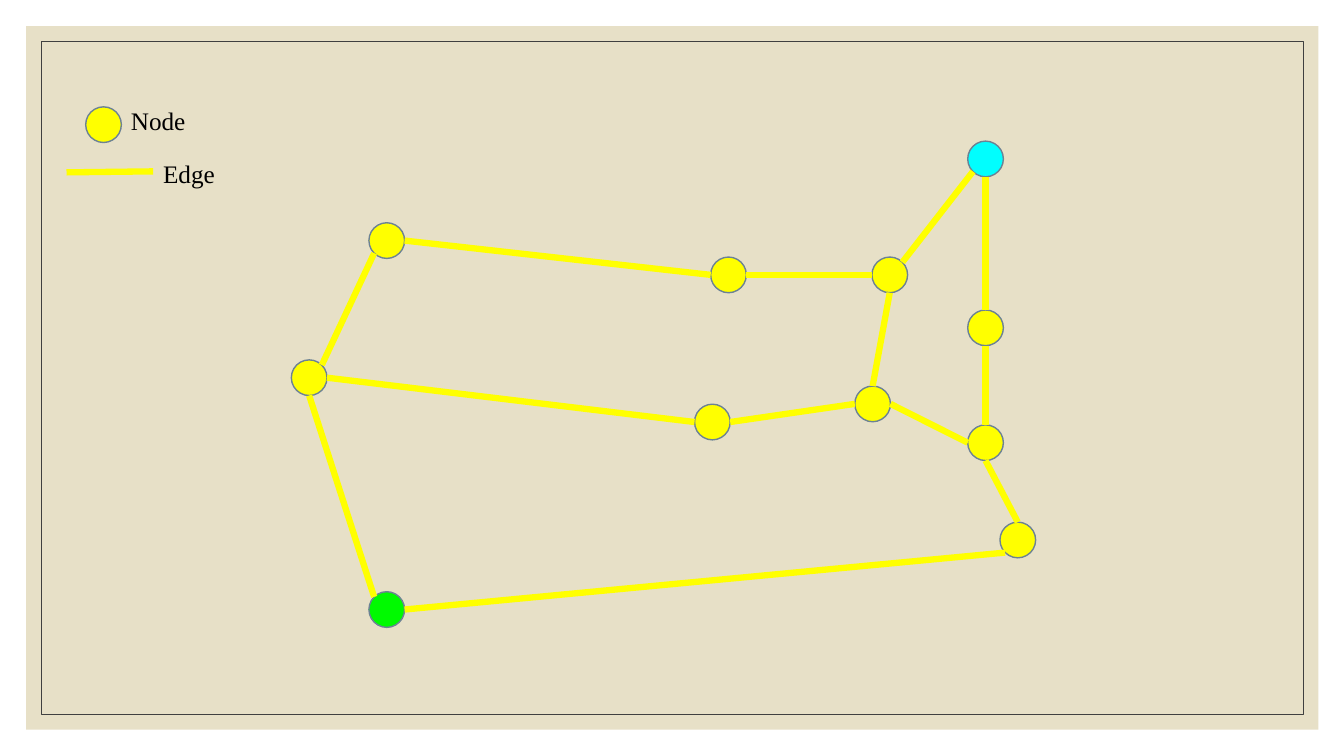
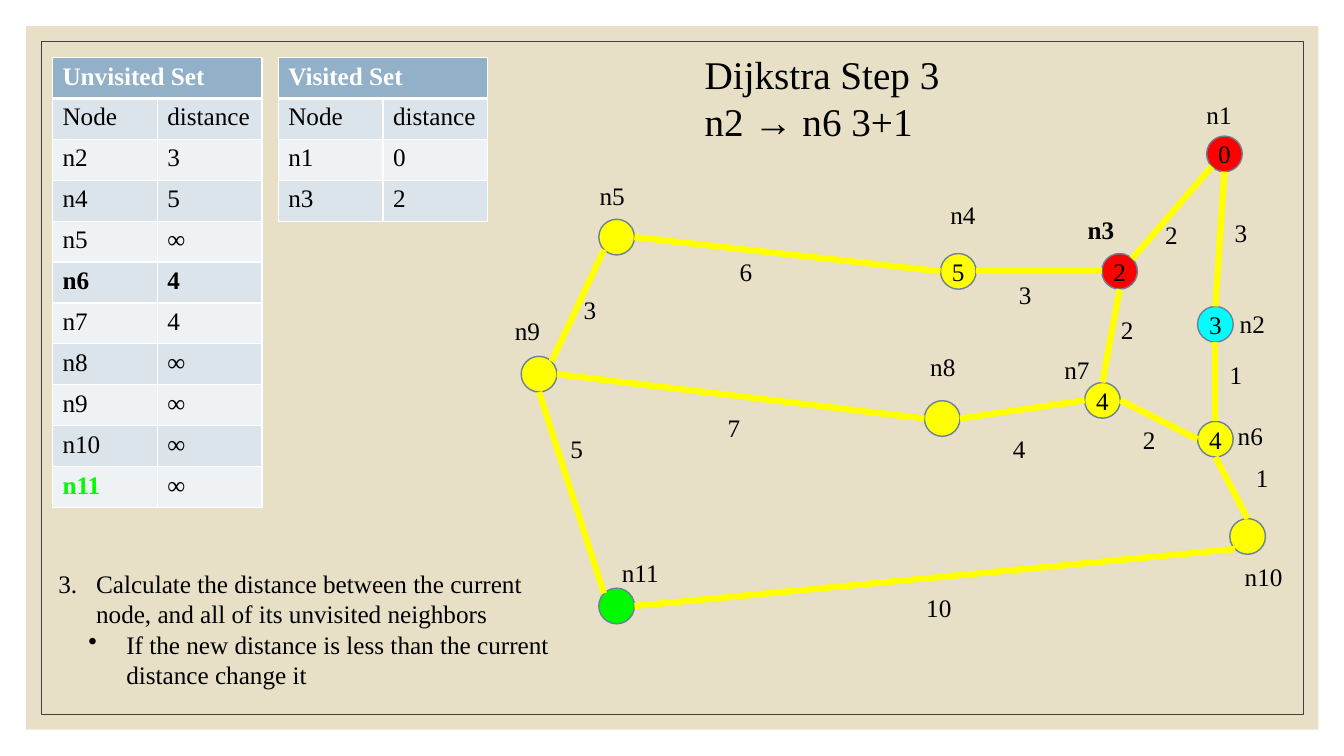
import math

import pptx
import pptx.dml.color
import pptx.enum.shapes
import pptx.enum.text
import pptx.oxml
import pptx.oxml.ns
import pptx.util
from lxml import etree

COLORS = {
    "panel": "E7E0C7", "frame": "404040", "text": "000000", "white": "FFFFFF",
    "yellow": "FFFF00", "cyan": "01FEFE", "green": "00FA00", "red": "FF0000",
    "outline": "6C8294", "header": "92B0C8", "band": "DCE4EB", "light": "EEF2F5",
}
FONT = "Times New Roman"
CELL = 0.1  # grid: columns and rows of a tenth of an inch
COLUMNS, ROWS = 133.33, 75
NODE_SIZE = 3.54
SITES = ["N", "NW", "W", "SW", "S", "SE", "E", "NE"]  # connection sites of an ellipse

# Graph: top left corner of each node, then edges as node and site pairs
NODES = {
    "n1": (96, 14), "n2": (96, 30.75), "n3": (86.5, 25.5), "n4": (70.5, 25.5),
    "n5": (36.6, 22.1), "n6": (96, 42.15), "n7": (84.8, 38.3), "n8": (68.9, 40.1),
    "n9": (28.9, 35.7), "n10": (99.2, 51.8), "n11": (36.6, 58.7),
}
EDGES = [
    ("n1", "SW", "n3", "NE"), ("n1", "S", "n2", "N"), ("n10", "N", "n6", "S"),
    ("n3", "W", "n4", "E"), ("n4", "W", "n5", "E"), ("n5", "SW", "n9", "NE"),
    ("n9", "E", "n8", "W"), ("n9", "S", "n11", "NW"), ("n7", "N", "n3", "S"),
    ("n8", "E", "n7", "W"), ("n6", "W", "n7", "E"), ("n2", "S", "n6", "N"),
    ("n10", "SW", "n11", "E"),
]

# Step 3: node names, edge weights and the two sets
NAMES = [
    ("n1", 118.7, 9.4), ("n2", 122, 30.1), ("n3", 106.9, 20.8), ("n4", 93.3, 19.3),
    ("n5", 58.5, 17.4), ("n6", 121.8, 41.2), ("n7", 104.6, 34.7), ("n8", 91.3, 34.4),
    ("n9", 50.1, 30.8), ("n10", 122.5, 55.2), ("n11", 60.7, 54.8),
]
WEIGHTS = [
    ("2", 114.6, 21.3), ("3", 121.5, 21.1), ("1", 121, 35.2), ("1", 123.6, 45.4),
    ("2", 112.4, 41.6), ("10", 90.9, 58.3), ("4", 99.5, 42.5), ("7", 71.2, 40.4),
    ("6", 72.4, 24.9), ("3", 100.1, 27.2), ("3", 56.9, 28.7), ("5", 55.6, 42.5),
    ("2", 110.2, 30.7),
]
UNVISITED = [
    ("n2", "3"), ("n4", "5"), ("n5", "∞"), ("n6", "4"), ("n7", "4"),
    ("n8", "∞"), ("n9", "∞"), ("n10", "∞"), ("n11", "∞"),
]
VISITED = [("n1", "0"), ("n3", "2")]


def grid(*lengths):
    return [pptx.util.Inches(length * CELL) for length in lengths]


def rgb(name):
    return pptx.dml.color.RGBColor.from_string(COLORS[name])


def add_xml(parent, tag, **attributes):
    return etree.SubElement(parent, pptx.oxml.ns.qn(tag), attributes)


class Deck:
    """Holds the style and the current slide."""

    def __init__(self):
        self.presentation = pptx.Presentation()
        width, height = grid(COLUMNS, ROWS)
        self.presentation.slide_width, self.presentation.slide_height = width, height
        self.slide = None

    def add_slide(self, title=None):
        layout = self.presentation.slide_layouts[5 if title else 6]
        self.slide = self.presentation.slides.add_slide(layout)
        if title:
            self.title(title)

    def master_frame(self):
        """Draw the panel and its frame once and move them to the slide master."""
        panel = self.shape("RECTANGLE", 2.6, 2.6, 128.2, 69.8, fill="panel")
        frame = self.shape("RECTANGLE", 4.1, 4.1, 125.2, 66.8, line=("frame", 0.5))
        tree = self.presentation.slide_master.shapes._spTree
        for index, shape in enumerate((panel, frame)):
            shape._element.nvSpPr.cNvPr.set("id", str(100 + index))
            tree.insert(2 + index, shape._element)

    def font(self, paragraph, size=18, color="text", bold=False):
        paragraph.font.name = FONT
        paragraph.font.size = pptx.util.Pt(size)
        paragraph.font.bold = bold
        paragraph.font.color.rgb = rgb(color)

    def title(self, text):
        title = self.slide.shapes.title
        title.left, title.top, title.width, title.height = grid(68.9, 4.5, 49, 15.1)
        frame = title.text_frame
        frame.text = text
        frame.auto_size = pptx.enum.text.MSO_AUTO_SIZE.NONE
        frame.vertical_anchor = pptx.enum.text.MSO_ANCHOR.TOP
        for paragraph in frame.paragraphs:
            paragraph.alignment = pptx.enum.text.PP_ALIGN.LEFT
            self.font(paragraph, size=28)

    def shape(self, kind, left, top, width, height, fill=None, line=None):
        preset = pptx.enum.shapes.MSO_SHAPE[kind]
        shape = self.slide.shapes.add_shape(preset, *grid(left, top, width, height))
        shape.shadow.inherit = False
        if fill:
            shape.fill.solid()
            shape.fill.fore_color.rgb = rgb(fill)
        else:
            shape.fill.background()
        if line:
            shape.line.color.rgb = rgb(line[0])
            shape.line.width = pptx.util.Pt(line[1])
        else:
            shape.line.fill.background()
        return shape

    def node(self, left, top, fill="yellow", value=""):
        node = self.shape("OVAL", left, top, NODE_SIZE, NODE_SIZE, fill, ("outline", 1))
        if value:
            frame = node.text_frame
            frame.margin_left = frame.margin_right = 0
            frame.margin_top = frame.margin_bottom = 0
            frame.word_wrap = False
            frame.vertical_anchor = pptx.enum.text.MSO_ANCHOR.MIDDLE
            frame.text = value
            frame.paragraphs[0].alignment = pptx.enum.text.PP_ALIGN.CENTER
            self.font(frame.paragraphs[0])
        return node

    def edge(self, start, end):
        straight = pptx.enum.shapes.MSO_CONNECTOR.STRAIGHT
        edge = self.slide.shapes.add_connector(straight, *grid(*start, *end))
        edge.line.color.rgb = rgb("yellow")
        edge.line.width = pptx.util.Pt(4.5)
        add_xml(edge._element.spPr, "a:effectLst")
        return edge

    def graph(self, places, fills, values, shift=(0, 0)):
        places = {name: (left + shift[0], top + shift[1])
                  for name, (left, top) in places.items()}
        nodes = {name: self.node(*place, fills.get(name, "yellow"), values.get(name, ""))
                 for name, place in places.items()}

        def site_point(name, site):
            angle = math.radians(45 * SITES.index(site))
            radius = NODE_SIZE / 2
            left, top = places[name]
            return (left + radius * (1 - math.sin(angle)),
                    top + radius * (1 - math.cos(angle)))

        for first, first_site, second, second_site in EDGES:
            edge = self.edge(site_point(first, first_site), site_point(second, second_site))
            glue = edge._element.nvCxnSpPr.cNvCxnSpPr
            for tag, name, site in (("a:stCxn", first, first_site),
                                    ("a:endCxn", second, second_site)):
                add_xml(glue, tag, id=str(nodes[name].shape_id), idx=str(SITES.index(site)))

    def text_box(self, left, top, width, height):
        box = self.slide.shapes.add_textbox(*grid(left, top, width, height))
        box.text_frame.word_wrap = True
        return box.text_frame

    def label(self, text, left, top, bold=False):
        frame = self.text_box(left, top, max(4.5, 1.9 + 1.3 * len(text)), 4)
        frame.margin_right = 0
        frame.text = text
        self.font(frame.paragraphs[0], bold=bold)

    def instructions(self, left, top, width, height, items):
        """Each item is its text, left indent, bullet tag and bullet attributes."""
        frame = self.text_box(left, top, width, height)
        for index, (text, indent, tag, attributes) in enumerate(items):
            paragraph = frame.add_paragraph() if index else frame.paragraphs[0]
            paragraph.text = text
            paragraph.level = index
            properties = paragraph._p.get_or_add_pPr()
            margin, hanging = grid(indent, -3.75)
            properties.set("marL", str(margin))
            properties.set("indent", str(hanging))
            add_xml(properties, tag, **attributes)
            self.font(paragraph)

    def borders(self, cell, top, bottom):
        properties = cell._tc.get_or_add_tcPr()
        for side, points in (("L", 1), ("R", 1), ("T", top), ("B", bottom)):
            line = add_xml(properties, f"a:ln{side}", w=str(pptx.util.Pt(points)))
            fill = add_xml(line, "a:solidFill")
            add_xml(fill, "a:srgbClr", val=COLORS["white"])

    def distance_table(self, left, top, heading, distances, current=None, goal=None):
        rows = [(heading, ""), ("Node", "distance"), *distances]
        row_height, column_width = 4.06, 10.4
        table = self.slide.shapes.add_table(
            len(rows), 2, *grid(left, top, 2 * column_width, row_height * len(rows))).table
        table.horz_banding = False
        table.cell(0, 0).merge(table.cell(0, 1))
        for row_index, row in enumerate(rows):
            table.rows[row_index].height = grid(row_height)[0]
            for column_index, text in enumerate(row):
                cell = table.cell(row_index, column_index)
                is_header, is_goal = row_index == 0, text == goal
                self.borders(cell, 3 if row_index == 1 else 1, 3 if is_header else 1)
                cell.fill.solid()
                band = "band" if row_index % 2 else "light"
                cell.fill.fore_color.rgb = rgb("header" if is_header else band)
                if text:
                    cell.text = text
                color = "white" if is_header else "green" if is_goal else "text"
                self.font(cell.text_frame.paragraphs[0], color=color,
                          bold=is_header or is_goal or row[0] == current)


def main():
    deck = Deck()

    # Graph with its legend
    deck.add_slide()
    deck.master_frame()
    deck.graph(NODES, {"n1": "cyan", "n11": "green"}, {})
    deck.node(8.5, 10.6)
    deck.label("Node", 12, 10)
    deck.edge((15.2, 17), (6.6, 17.1))
    deck.label("Edge", 15.2, 15.2)

    # Third step of the algorithm
    deck.add_slide("Dijkstra Step 3\nn2 → n6 3+1")
    deck.graph({**NODES, "n1": (96.9, 13.85)},
               {"n1": "red", "n3": "red", "n2": "cyan", "n11": "green"},
               {"n1": "0", "n2": "3", "n3": "2", "n4": "5", "n6": "4", "n7": "4"},
               shift=(22.8, -0.35))
    for text, left, top in NAMES + WEIGHTS:
        deck.label(text, left, top, bold=text == "n3")
    deck.distance_table(5.2, 5.7, "Unvisited Set", UNVISITED, current="n6", goal="n11")
    deck.distance_table(27.6, 5.7, "Visited Set", VISITED)
    deck.instructions(4.8, 55.9, 52.3, 13.1, [
        ("Calculate the distance between the current node, and all of its unvisited neighbors",
         3.75, "a:buAutoNum", {"type": "arabicPeriod", "startAt": "3"}),
        ("If the new distance is less than the current distance change it",
         6.75, "a:buChar", {"char": "•"}),
    ])

    deck.presentation.save("out.pptx")


if __name__ == "__main__":
    main()
